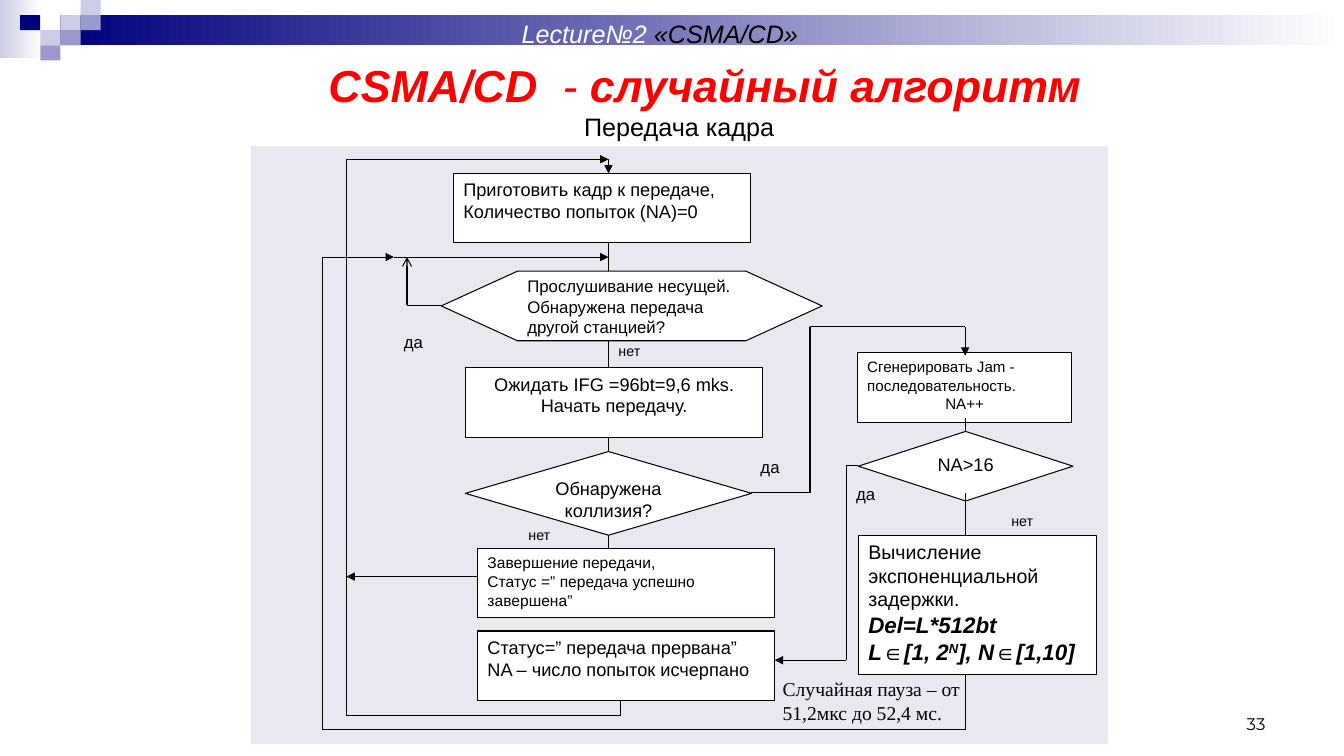
from pptx import Presentation
from pptx.dml.color import RGBColor
from pptx.enum.shapes import MSO_CONNECTOR, MSO_SHAPE
from pptx.enum.text import MSO_ANCHOR, PP_ALIGN
from pptx.oxml.ns import qn
from pptx.util import Inches, Pt
from lxml import etree

RECT, HEXAGON, DIAMOND = (MSO_SHAPE.RECTANGLE, MSO_SHAPE.FLOWCHART_PREPARATION,
                          MSO_SHAPE.FLOWCHART_DECISION)
LEFT, CENTER, RIGHT = PP_ALIGN.LEFT, PP_ALIGN.CENTER, PP_ALIGN.RIGHT
TOP, MIDDLE, BOTTOM = MSO_ANCHOR.TOP, MSO_ANCHOR.MIDDLE, MSO_ANCHOR.BOTTOM
BLACK, WHITE, RED, PANEL = "000000", "FFFFFF", "FF0000", "E8E8F1"
NAVY, LILAC, VIOLET = "00007D", "CCCCE6", "9999CC"

# Header: gradient bars (box, start colour), then squares (column, row, colour)
BARS = [((0, 0, 0.42, 0.58), LILAC), ((0.6, 0.15, 12.73, 0.3), NAVY)]
SQUARES = [(3, 1, LILAC), (4, 0, LILAC), (4, 1, VIOLET), (2, 2, LILAC),
           (1, 1, NAVY), (3, 2, VIOLET), (2, 3, VIOLET)]
SQUARE_W, SQUARE_H = 0.2, 0.15

# A paragraph is a list of runs: (text, font changes)
TITLE = [[("CSMA/CD  ", {}), ("- ", {"bold": False}), ("случайный алгоритм", {})]]
LECTURE = [[("Lecture№2", {"color": WHITE}), (" «CSMA/CD»", {})]]
FORMULA = {"size": 16, "bold": True, "italic": True}
DELAY = [[("Вычисление экспоненциальной задержки.", {})],
         [("Del=L*512bt", FORMULA)],
         [("L∈[1, 2", FORMULA), ("N", {**FORMULA, "raised": True}),
          ("], N∈[1,10]", FORMULA)]]

# Flowchart steps: shape, box, size, alignments, paragraphs
STEPS = [
    (RECT, (4.5, 1.72, 2.95, 0.69), 13, [LEFT, LEFT],
     ["Приготовить кадр к передаче,", "Количество попыток (NA)=0"]),
    (HEXAGON, (4.38, 2.69, 3.78, 0.69), 12, [LEFT],
     ["Прослушивание несущей. Обнаружена передача другой станцией?"]),
    (RECT, (4.62, 3.65, 2.95, 0.69), 13, [CENTER, CENTER],
     ["Ожидать IFG =96bt=9,6 mks.", "Начать передачу."]),
    (DIAMOND, (4.62, 4.48, 2.84, 0.83), 13, [CENTER], ["Обнаружена коллизия?"]),
    (RECT, (4.74, 5.44, 2.95, 0.69), 11.1, [LEFT, LEFT],
     ["Завершение передачи,", "Статус =” передача успешно завершена”"]),
    (RECT, (4.74, 6.26, 2.95, 0.69), 13, [LEFT, LEFT],
     ["Статус=” передача прервана”", "NA – число попыток исчерпано"]),
    (RECT, (8.51, 3.5, 2.13, 0.69), 10.8, [LEFT, CENTER],
     ["Сгенерировать Jam - последовательность.", "NA++"]),
    (DIAMOND, (8.52, 4.28, 2.13, 0.69), 13, [CENTER], ["NA>16"]),
    (RECT, (8.52, 5.31, 2.36, 1.38), 14, [LEFT] * 3, DELAY),
]

# Branch labels: text, left, top, alignment
YES_BOX, NO_BOX = (0.71, 0.41, 12), (0.59, 0.28, 10.2)
LABELS = [("да", 3.91, 3.24, LEFT), ("да", 7.45, 4.48, LEFT),
          ("да", 8.4, 4.75, LEFT), ("нет", 6.04, 3.35, LEFT),
          ("нет", 4.97, 5.17, RIGHT), ("нет", 9.94, 5.03, LEFT)]

# Routes: corner points, arrowhead at the last point
MAIN_X, LOOP_X, RETRY_X, JAM_X = 6.04, 3.44, 3.2, 9.58
ROUTES = [
    ([(MAIN_X, 2.41), (MAIN_X, 2.69)], None),
    ([(MAIN_X, 3.38), (MAIN_X, 3.65)], None),
    ([(MAIN_X, 4.34), (MAIN_X, 4.48)], None),
    ([(MAIN_X, 5.31), (MAIN_X, 5.44)], None),
    ([(4.38, 3.03), (4.04, 3.03), (4.04, 2.55)], "arrow"),
    ([(3.91, 2.55), (MAIN_X, 2.55)], "triangle"),
    ([(MAIN_X, 1.58), (MAIN_X, 1.72)], "triangle"),
    ([(6.16, 6.95), (6.16, 7.1), (LOOP_X, 7.1), (LOOP_X, 1.58), (MAIN_X, 1.58)],
     "triangle"),
    ([(4.74, 5.72), (LOOP_X, 5.72)], "triangle"),
    ([(7.45, 4.89), (8.04, 4.89), (8.04, 3.24), (JAM_X, 3.24), (JAM_X, 3.53)],
     "triangle"),
    ([(JAM_X, 4.15), (JAM_X, 4.28)], None),
    ([(JAM_X, 4.89), (JAM_X, 5.31)], None),
    ([(8.52, 4.62), (8.4, 4.62), (8.4, 6.55), (7.69, 6.55)], "triangle"),
    ([(JAM_X, 6.69), (JAM_X, 7.24), (RETRY_X, 7.24), (RETRY_X, 2.55), (3.91, 2.55)],
     "triangle"),
]


def rgb(value):
    return RGBColor.from_string(value)


def write(tf, paragraphs, size, aligns=(LEFT,), anchor=TOP,
          name="Arial", color=BLACK, bold=False, italic=False):
    tf.word_wrap, tf.vertical_anchor = True, anchor
    for i, (content, align) in enumerate(zip(paragraphs, aligns)):
        p = tf.add_paragraph() if i else tf.paragraphs[0]
        p.alignment = align
        runs = [(content, {})] if isinstance(content, str) else content
        for text, changes in runs:
            r = p.add_run()
            r.text = text
            r.font.name = name
            r.font.size = Pt(changes.get("size", size))
            r.font.bold = changes.get("bold", bold)
            r.font.italic = changes.get("italic", italic)
            r.font.color.rgb = rgb(changes.get("color", color))
            if changes.get("raised"):
                r.font._element.set("baseline", "30000")


def add_box(s, kind, box, fill, line=None):
    sp = s.shapes.add_shape(kind, *map(Inches, box))
    sp.shadow.inherit = False
    sp.fill.solid()
    sp.fill.fore_color.rgb = rgb(fill)
    if line:
        sp.line.color.rgb = rgb(line)
        sp.line.width = Pt(0.75)
    else:
        sp.line.fill.background()
    return sp


def add_text(s, box, paragraphs, size, **style):
    sp = s.shapes.add_textbox(*map(Inches, box))
    write(sp.text_frame, paragraphs, size, **style)


def add_route(s, points, head):
    for start, end in zip(points, points[1:]):
        line = s.shapes.add_connector(MSO_CONNECTOR.STRAIGHT,
                                      *map(Inches, start + end))
        line.line.color.rgb = rgb(BLACK)
        line.line.width = Pt(0.75)
        if head and end == points[-1]:
            etree.SubElement(line.line._get_or_add_ln(), qn("a:tailEnd"), type=head)
        etree.SubElement(line._element.spPr, qn("a:effectLst"))


prs = Presentation()
prs.slide_width, prs.slide_height = Inches(13.34), Inches(7.5)
s = prs.slides.add_slide(prs.slide_layouts[5])

# Header decoration
for box, start in BARS:
    fill = add_box(s, RECT, box, start).fill
    fill.gradient()
    fill.gradient_angle = 0
    for stop, color in zip(fill.gradient_stops, (start, WHITE)):
        stop.color.rgb = rgb(color)
for column, row, color in SQUARES:
    add_box(s, RECT, (column * SQUARE_W, row * SQUARE_H, SQUARE_W, SQUARE_H), color)

# Title, headings and slide number
title = s.shapes.title
title.left, title.top, title.width, title.height = map(Inches, (3.16, 0.44, 8.51, 0.79))
write(title.text_frame, TITLE, 32, anchor=MIDDLE, color=RED, bold=True, italic=True)
add_text(s, (4.8, 0.13, 3.5, 0.4), LECTURE, 18, aligns=[CENTER], italic=True)
add_text(s, (5.7, 1.06, 2.4, 0.4), ["Передача кадра"], 18)
add_text(s, (11.86, 6.83, 0.8, 0.5), ["33"], 12, aligns=[RIGHT], anchor=BOTTOM,
         name="Montserrat")

# Flowchart
add_box(s, RECT, (2.49, 1.45, 8.51, 5.93), PANEL)
for kind, box, size, aligns, paragraphs in STEPS:
    write(add_box(s, kind, box, WHITE, BLACK).text_frame, paragraphs, size, aligns)
for points, head in ROUTES:
    add_route(s, points, head)
for text, left, top, align in LABELS:
    width, height, size = YES_BOX if text == "да" else NO_BOX
    add_text(s, (left, top, width, height), [text], size, aligns=[align])
add_text(s, (7.67, 6.67, 2.03, 0.57), ["Случайная пауза – от 51,2мкс до 52,4 мс."], 14,
         name="Times New Roman")

prs.save("out.pptx")
